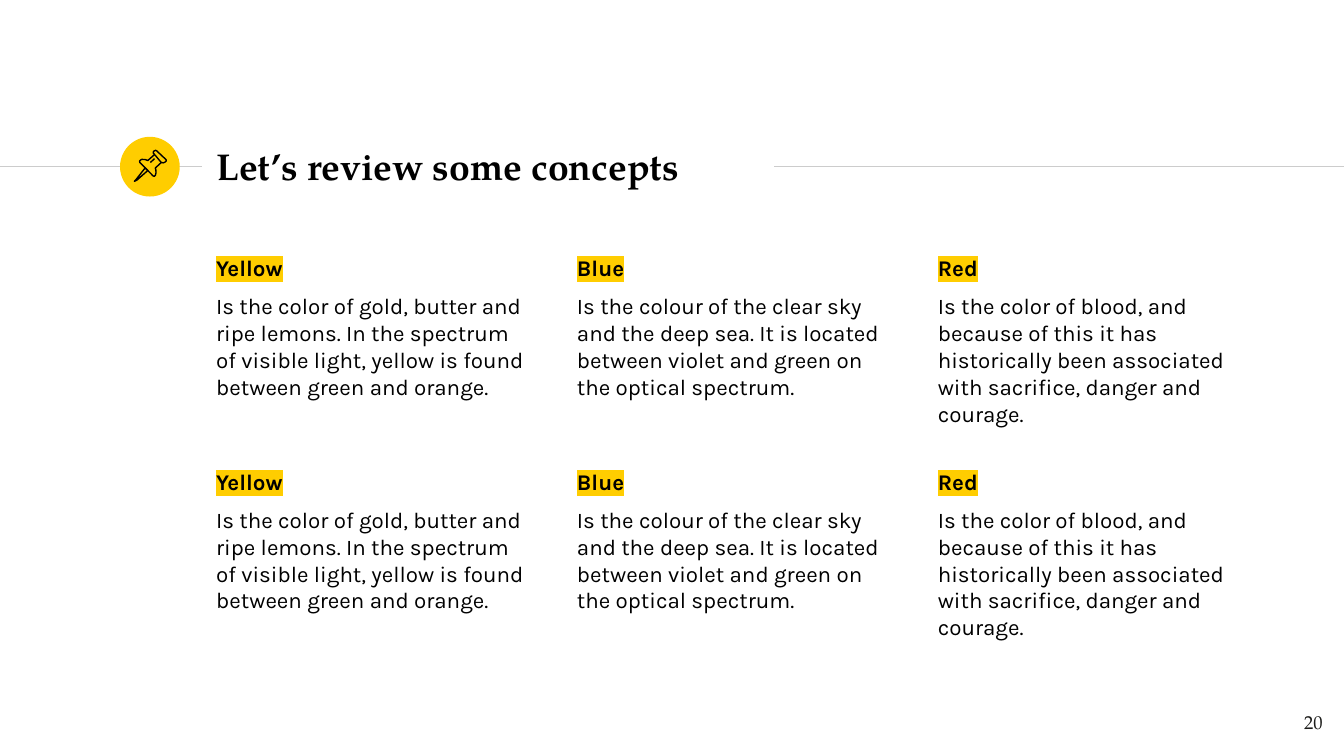
"""Build a slide that reviews three colours in a grid of two rows."""
from dataclasses import dataclass
from itertools import product

from lxml import etree
from pptx import Presentation, util as u
from pptx.dml.color import RGBColor
from pptx.enum import shapes, text
from pptx.oxml import ns


@dataclass(frozen=True)
class Theme:
    """Colours, fonts and type sizes."""
    ink: str = "000000"
    gold: str = "FFCD00"
    rule: str = "CCCCCC"
    grey: str = "1D1D1B"
    serif: str = "TeX Gyre Pagella"
    sans: str = "Karla"
    head: int = 20
    body: int = 12
    small: int = 10


LOOK = Theme()
INSET = 7.2
GRID = {"left": 108.7, "top": 128.9, "across": 193.3, "down": 114.5}
RULE_Y = 89.3

NOTES = [
    ("Yellow", "Is the color of gold, butter and ripe lemons. In the spectrum "
               "of visible light, yellow is found between green and orange."),
    ("Blue", "Is the colour of the clear sky and the deep sea. It is located "
             "between violet and green on the optical spectrum."),
    ("Red", "Is the color of blood, and because of this it has historically "
            "been associated with sacrifice, danger and courage."),
]

PIN = [
    ([(77.8, 90), (72.7, 96.5), (72, 97.2), (73.4, 96.5), (79.2, 91.4)], True),
    ([(82.8, 82.8), (86.4, 87.1), (87.5, 87.3), (88.6, 86.8), (89.1, 86.2),
      (89, 85.6), (83.9, 80.8), (83.3, 80.6), (82.6, 80.9), (82.1, 81.5),
      (82.2, 82.2)], True),
    ([(82.8, 82.8), (79.2, 86), (77.8, 85.5), (76, 85.4), (75.2, 85.8),
      (74.8, 86.3), (74.9, 87), (82, 94.2), (82.6, 94.5), (83.2, 94),
      (83.6, 92.5), (83.5, 91), (83.2, 90), (86.4, 87.1)], False),
    ([(80.6, 87.1), (82.8, 85)], False),
]


def apply(item, form):
    """Set each attribute of the item from a dict."""
    for name, value in form.items():
        setattr(item, name, value)


def frame(shape, anchor=text.MSO_ANCHOR.TOP):
    """Set the insets, wrap and anchor of a shape and return its text frame."""
    box = shape.text_frame
    sides = ("left", "top", "right", "bottom")
    apply(box, {f"margin_{side}": u.Pt(INSET) for side in sides})
    apply(box, {"word_wrap": True, "vertical_anchor": anchor,
                "auto_size": text.MSO_AUTO_SIZE.NONE})
    return box


def write(para, words, face, size, ink=LOOK.ink, bold=False):
    """Add a styled run to a paragraph."""
    run = para.add_run()
    run.text = words
    run.font.color.rgb = RGBColor.from_string(ink)
    apply(run.font, {"name": face, "size": u.Pt(size), "bold": bold})
    return run


def mark(run, tint):
    """Put a highlight behind a run."""
    fill = run.font._element.find(ns.qn("a:solidFill"))
    glow = etree.Element(ns.qn("a:highlight"))
    etree.SubElement(glow, ns.qn("a:srgbClr"), val=tint)
    fill.addnext(glow)


def stroke(line, tint):
    """Give a line its colour and width."""
    line.color.rgb = RGBColor.from_string(tint)
    line.width = u.Pt(0.75)


def rule(slide, start, end):
    """Draw a level rule beside the title."""
    line = slide.shapes.add_connector(
        shapes.MSO_CONNECTOR.STRAIGHT,
        *map(u.Pt, (start, RULE_Y, end, RULE_Y)))
    stroke(line.line, LOOK.rule)
    etree.SubElement(line._element.spPr, ns.qn("a:effectLst"))


def disc(slide):
    """Draw the gold disc behind the pin."""
    shape = slide.shapes.add_shape(
        shapes.MSO_SHAPE.OVAL, *map(u.Pt, (64.3, 73.3, 32, 32)))
    shape.shadow.inherit = False
    shape.fill.solid()
    shape.fill.fore_color.rgb = RGBColor.from_string(LOOK.gold)
    shape.line.fill.background()


def pin(slide):
    """Draw the outlined pushpin as one group."""
    group = slide.shapes.add_group_shape()
    for spots, close in PIN:
        first, *rest = [tuple(map(u.Pt, spot)) for spot in spots]
        maker = group.shapes.build_freeform(*first, scale=1.0)
        maker.add_line_segments(rest, close=close)
        shape = maker.convert_to_shape()
        shape.shadow.inherit = False
        shape.fill.background()
        stroke(shape.line, LOOK.ink)


def title(slide, words):
    """Place and style the title."""
    shape = slide.shapes.title
    apply(shape, {"left": u.Pt(GRID["left"]), "top": u.Pt(71),
                  "width": u.Pt(305), "height": u.Pt(35)})
    para = frame(shape, text.MSO_ANCHOR.MIDDLE).paragraphs[0]
    para.alignment = text.PP_ALIGN.LEFT
    write(para, words, LOOK.serif, LOOK.head, bold=True)


def note(slide, row, col):
    """Write one colour note in its grid cell."""
    name, words = NOTES[col]
    left = GRID["left"] + col * GRID["across"]
    top = GRID["top"] + row * GRID["down"]
    box = frame(slide.shapes.add_textbox(*map(u.Pt, (left, top, 183.6, 95))))
    mark(write(box.paragraphs[0], name, LOOK.sans, LOOK.body, bold=True),
         LOOK.gold)
    para = box.add_paragraph()
    para.space_before = u.Pt(6)
    write(para, words, LOOK.sans, LOOK.body)


def folio(slide, number):
    """Write the page number in the corner."""
    box = slide.shapes.add_textbox(*map(u.Pt, (672.5, 373.7, 43.2, 31)))
    para = frame(box).paragraphs[0]
    para.alignment = text.PP_ALIGN.RIGHT
    write(para, number, LOOK.serif, LOOK.small, LOOK.grey)


def main():
    """Build and save the slide."""
    deck = Presentation()
    apply(deck, {"slide_width": u.Pt(720), "slide_height": u.Pt(405)})
    slide = deck.slides.add_slide(deck.slide_layouts[5])
    rule(slide, 0, 108)
    disc(slide)
    rule(slide, 414.7, 720)
    title(slide, "Let’s review some concepts")
    pin(slide)
    for row, col in product(range(2), range(len(NOTES))):
        note(slide, row, col)
    folio(slide, "20")
    deck.save("out.pptx")


if __name__ == "__main__":
    main()
